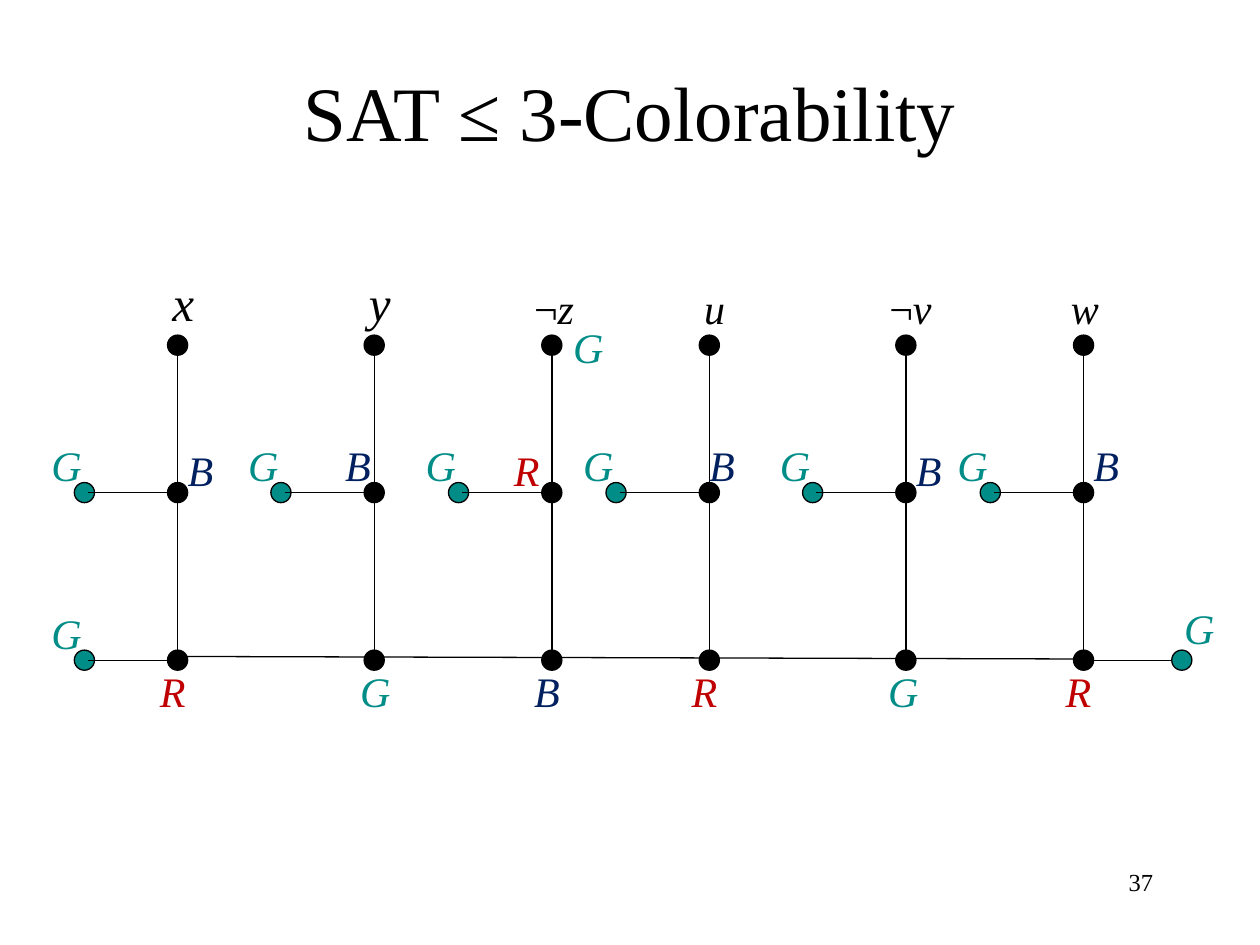
from collections import namedtuple

from lxml import etree
from pptx import Presentation
from pptx import util as u
from pptx.dml.color import RGBColor
from pptx.enum import shapes, text
from pptx.oxml.ns import qn

COLORS = {"ink": "000000", "G": "008C87", "R": "C00000", "B": "002060"}
FONT = "Times New Roman"
DOT = 0.16
LITERAL_Y, MIDDLE_Y, BASE_Y = 2.74, 3.91, 5.24
COLOR_WIDTHS = {"G": 0.45, "R": 0.41, "B": 0.41}

Gadget = namedtuple(
    "Gadget", "x literal literal_left literal_width literal_size "
              "middle middle_left middle_top base base_left")

GADGETS = [
    Gadget(1.41, "x", 1.27, 0.38, 28, "B", 1.39, 3.48, "R", 1.17),
    Gadget(2.97, "y", 2.83, 0.38, 28, "B", 2.64, 3.44, "G", 2.76),
    Gadget(4.38, "¬z", 4.14, 0.54, 24, "R", 3.98, 3.48, "B", 4.14),
    Gadget(5.63, "u", 5.49, 0.37, 24, "B", 5.53, 3.44, "R", 5.39),
    Gadget(7.19, "¬v", 6.96, 0.54, 24, "B", 7.17, 3.48, "G", 6.95),
    Gadget(8.6, "w", 8.4, 0.43, 24, "B", 8.58, 3.44, "R", 8.36),
]


def rgb(name):
    return RGBColor.from_string(COLORS[name])


def add_text(slide, box, words, size, color="ink", align=text.PP_ALIGN.LEFT,
             anchor=text.MSO_ANCHOR.TOP, wrap=True):
    frame = slide.shapes.add_textbox(*map(u.Inches, box)).text_frame
    frame.word_wrap = wrap
    frame.vertical_anchor = anchor
    if not wrap:
        frame.auto_size = text.MSO_AUTO_SIZE.SHAPE_TO_FIT_TEXT
    line = frame.paragraphs[0]
    line.alignment = align
    line.font.name = FONT
    line.font.size = u.Pt(size)
    line.font.color.rgb = rgb(color)
    for part in words:
        line.add_run().text = part
    return line


def add_literal(slide, gadget):
    top, height = (2.11, 0.57) if gadget.literal_size == 28 else (2.19, 0.5)
    box = (gadget.literal_left, top, gadget.literal_width, height)
    line = add_text(slide, box, gadget.literal, gadget.literal_size, wrap=False)
    line.runs[-1].font.italic = True


def add_color_label(slide, left, top, letter):
    box = (left, top, COLOR_WIDTHS[letter], 0.5)
    add_text(slide, box, [letter], 24, letter, wrap=False).font.italic = True


def add_vertex(slide, x, y, color="ink"):
    vertex = slide.shapes.add_shape(
        shapes.MSO_SHAPE.OVAL, u.Inches(x - DOT / 2), u.Inches(y - DOT / 2),
        u.Inches(DOT), u.Inches(DOT))
    vertex.shadow.inherit = False
    vertex.fill.solid()
    vertex.fill.fore_color.rgb = rgb(color)
    vertex.line.color.rgb = rgb("ink")
    vertex.line.width = u.Pt(0.75)


def add_edge(slide, x1, y1, x2, y2):
    edge = slide.shapes.add_connector(
        shapes.MSO_CONNECTOR.STRAIGHT, *map(u.Inches, (x1, y1, x2, y2)))
    edge.line.color.rgb = rgb("ink")
    edge.line.width = u.Pt(0.75)
    etree.SubElement(edge._element.spPr, qn("a:effectLst"))


def add_green_neighbor(slide, x, y):
    add_vertex(slide, x - 0.74, y, "G")
    add_color_label(slide, x - 1.1, y - 0.47, "G")
    add_edge(slide, x - 0.71, y, x - DOT / 2, y)


def add_gadget(slide, gadget):
    for y in (LITERAL_Y, MIDDLE_Y, BASE_Y):
        add_vertex(slide, gadget.x, y)
    for upper, lower in ((LITERAL_Y, MIDDLE_Y), (MIDDLE_Y, BASE_Y)):
        add_edge(slide, gadget.x, upper + DOT / 2, gadget.x, lower - DOT / 2)
    add_green_neighbor(slide, gadget.x, MIDDLE_Y)
    add_literal(slide, gadget)
    add_color_label(slide, gadget.middle_left, gadget.middle_top, gadget.middle)
    add_color_label(slide, gadget.base_left, 5.23, gadget.base)


def main():
    deck = Presentation()
    deck.slide_width, deck.slide_height = u.Inches(10), u.Inches(7.5)
    slide = deck.slides.add_slide(deck.slide_layouts[6])

    add_text(slide, (0.75, 0.25, 8.5, 1.25), ["SAT ≤ 3-Colorability"], 44,
             align=text.PP_ALIGN.CENTER, anchor=text.MSO_ANCHOR.MIDDLE)
    add_text(slide, (7.17, 6.83, 2.08, 0.5), ["37"], 14,
             align=text.PP_ALIGN.RIGHT)

    for gadget in GADGETS:
        add_gadget(slide, gadget)
    add_color_label(slide, 4.45, 2.5, "G")

    first, last = GADGETS[0].x, GADGETS[-1].x
    add_green_neighbor(slide, first, BASE_Y)
    add_edge(slide, first, 5.21, last - 0.06, 5.23)
    add_edge(slide, last + DOT / 2, BASE_Y, 9.3, BASE_Y)
    add_vertex(slide, 9.38, BASE_Y, "G")
    add_color_label(slide, 9.3, 4.73, "G")

    deck.save("out.pptx")


if __name__ == "__main__":
    main()
